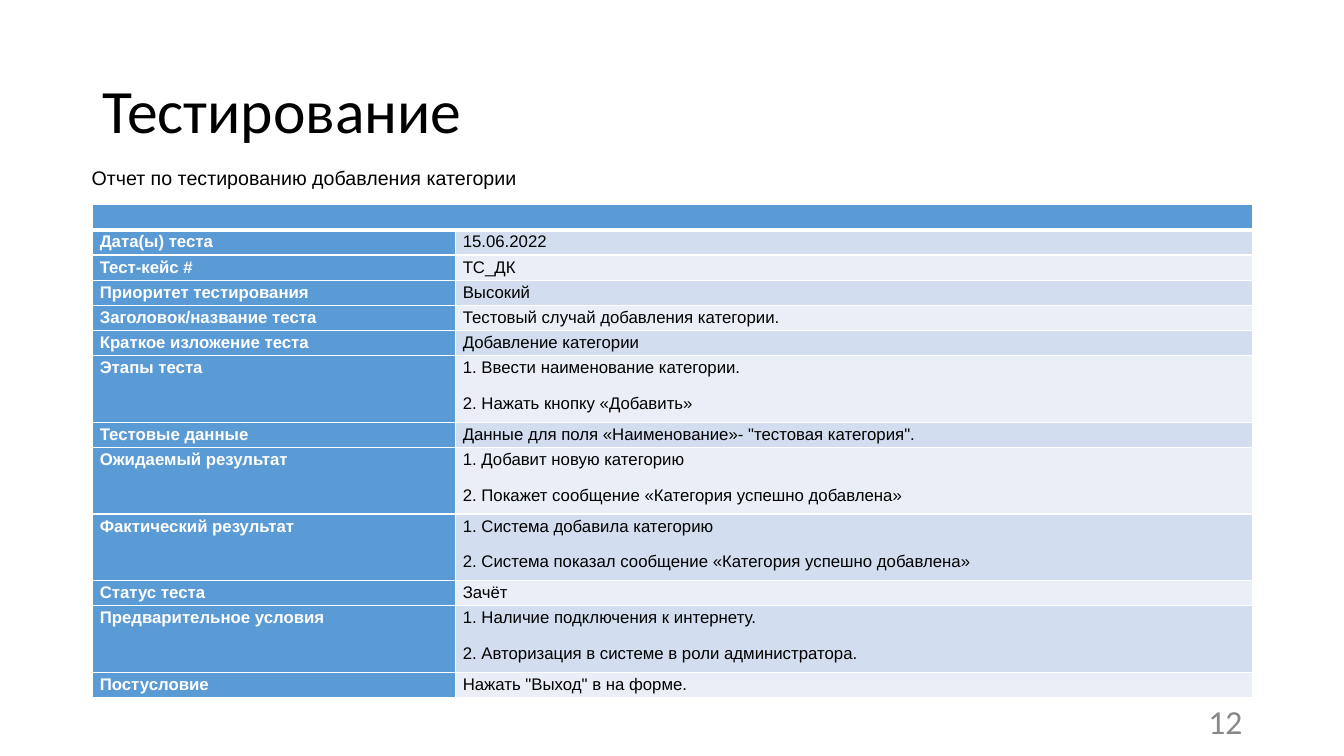
from lxml import etree
from pptx import Presentation
from pptx.dml.color import RGBColor
from pptx.enum.text import MSO_ANCHOR, PP_ALIGN
from pptx.oxml.ns import qn
from pptx.util import Inches, Pt

BLUE, WHITE, BLACK, GRAY = "5B9BD5", "FFFFFF", "000000", "888888"
BANDS = ("D2DEEF", "EAEFF7")


def color(value):
    return RGBColor.from_string(value)


class SlideBuilder:
    heading_font, body_font = "Calibri", "Arial"
    cell_size = 12

    def __init__(self, slide):
        self.slide = slide

    def style_run(self, run, font, size, ink, bold=False):
        run.font.name, run.font.size, run.font.bold = font, Pt(size), bold
        run.font.color.rgb = color(ink)

    def text(self, box, words, font, size, ink, align=PP_ALIGN.LEFT,
             anchor=MSO_ANCHOR.MIDDLE, spacing=1.0, wrap=True):
        frame = self.slide.shapes.add_textbox(*map(Inches, box)).text_frame
        frame.word_wrap, frame.vertical_anchor = wrap, anchor
        paragraph = frame.paragraphs[0]
        paragraph.alignment, paragraph.line_spacing = align, spacing
        run = paragraph.add_run()
        run.text = words
        self.style_run(run, font, size, ink)

    def cell(self, cell, lines, fill, ink, bold=False, bottom=1):
        cell.margin_left = cell.margin_right = Inches(0.07)
        cell.margin_top = cell.margin_bottom = 0
        frame = cell.text_frame
        for i, line in enumerate(lines):
            paragraph = frame.add_paragraph() if i else frame.paragraphs[0]
            paragraph.line_spacing, paragraph.space_after = 1.15, Pt(10)
            run = paragraph.add_run()
            run.text = line
            self.style_run(run, self.body_font, self.cell_size, ink, bold)
        if not lines:
            end = etree.SubElement(frame.paragraphs[0]._p, qn("a:endParaRPr"))
            end.set("sz", str(self.cell_size * 100))
        self.borders(cell, bottom)
        cell.fill.solid()
        cell.fill.fore_color.rgb = color(fill)

    def borders(self, cell, bottom):
        properties = cell._tc.get_or_add_tcPr()
        for side, width in (("L", 1), ("R", 1), ("T", 1), ("B", bottom)):
            line = etree.SubElement(properties, qn(f"a:ln{side}"), w=str(Pt(width)))
            fill = etree.SubElement(line, qn("a:solidFill"))
            etree.SubElement(fill, qn("a:srgbClr"), val=WHITE)

    def report_table(self, left, top, widths, report):
        heights = [0.25] + [0.25 if len(lines) == 1 else 0.66 for _, *lines in report]
        table = self.slide.shapes.add_table(
            len(heights), len(widths), Inches(left), Inches(top),
            Inches(sum(widths)), Inches(sum(heights))).table
        for column, width in zip(table.columns, widths):
            column.width = Inches(width)
        for row, height in zip(table.rows, heights):
            row.height = Inches(height)
        # Empty header across both columns
        table.cell(0, 0).merge(table.cell(0, 1))
        for column in range(2):
            self.cell(table.cell(0, column), [], BLUE, WHITE, bottom=3)
        # Label and value rows
        for i, (label, *lines) in enumerate(report):
            self.cell(table.cell(i + 1, 0), [label], BLUE, WHITE, bold=True)
            self.cell(table.cell(i + 1, 1), lines, BANDS[i % 2], BLACK)


REPORT = [
    ("Дата(ы) теста", "15.06.2022"),
    ("Тест-кейс #", "ТС_ДК"),
    ("Приоритет тестирования", "Высокий"),
    ("Заголовок/название теста", "Тестовый случай добавления категории."),
    ("Краткое изложение теста", "Добавление категории"),
    ("Этапы теста", "1. Ввести наименование категории.", "2. Нажать кнопку «Добавить»"),
    ("Тестовые данные", 'Данные для поля «Наименование»- "тестовая категория".'),
    ("Ожидаемый результат", "1. Добавит новую категорию",
     "2. Покажет сообщение «Категория успешно добавлена»"),
    ("Фактический результат", "1. Система добавила категорию",
     "2. Система показал сообщение «Категория успешно добавлена»"),
    ("Статус теста", "Зачёт"),
    ("Предварительное условия", "1. Наличие подключения к интернету.",
     "2. Авторизация в системе в роли администратора."),
    ("Постусловие", 'Нажать "Выход" в на форме.'),
]

presentation = Presentation()
presentation.slide_width, presentation.slide_height = Inches(13.33), Inches(7.5)
page = SlideBuilder(presentation.slides.add_slide(presentation.slide_layouts[6]))

# Title and page number
page.text((0.92, 0.4, 11.5, 1.45), "Тестирование", page.heading_font, 44, BLACK, spacing=0.9)
page.text((9.42, 6.95, 3, 0.4), "12", page.heading_font, 24, GRAY, align=PP_ALIGN.RIGHT)

# Test report
page.report_table(0.92, 2.03, (3.6, 7.9), REPORT)
page.text((0.81, 1.6, 4.47, 0.34), "Отчет по тестированию добавления категории",
          page.body_font, 14, BLACK, anchor=MSO_ANCHOR.TOP, wrap=False)

presentation.save("out.pptx")
